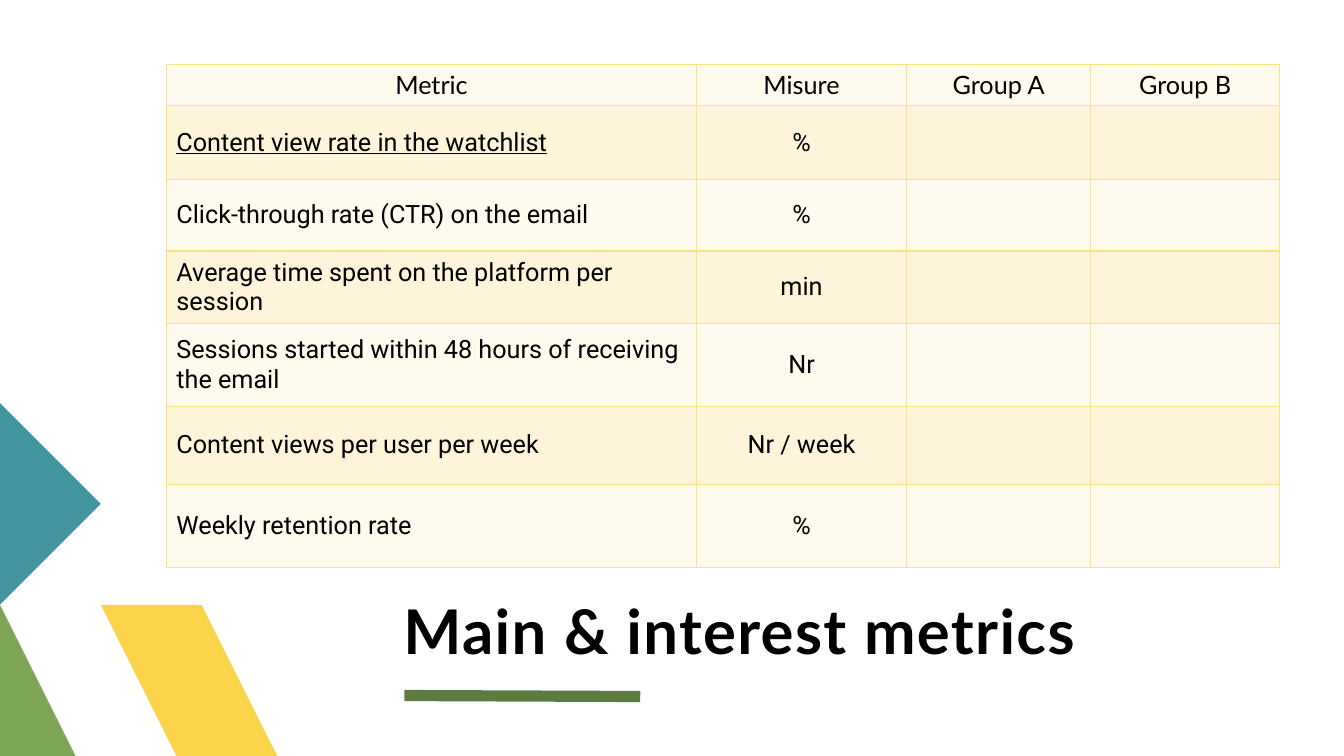
"""Build the slide of main and interest metrics."""
from pptx import Presentation
from pptx.dml.color import RGBColor
from pptx.enum import shapes, text
from pptx.oxml import parse_xml
from pptx.oxml.ns import nsdecls, qn
from pptx.util import Inches, Pt

BLACK = RGBColor(0x00, 0x00, 0x00)
YELLOW = RGBColor(0xF9, 0xD4, 0x48)
GREEN = RGBColor(0x7C, 0xA6, 0x55)
TEAL = RGBColor(0x44, 0x95, 0xA2)
DARK_GREEN = RGBColor(0x5D, 0x7D, 0x40)
CREAM = RGBColor(0xFE, 0xFA, 0xED)
SAND = RGBColor(0xFD, 0xF4, 0xD9)
BORDER = RGBColor(0xFB, 0xE2, 0x84)

ORNAMENTS = [
    (YELLOW, [(3.24, 7.5), (2.15, 7.5), (1.06, 6.41), (1.61, 5.87)]),
    (GREEN, [(1.06, 7.5), (0, 7.5), (0, 6.44)]),
    (TEAL, [(0, 4.27), (1.06, 5.33), (0, 6.39)]),
]
COLUMN_WIDTHS = [5.26, 2.08, 1.83, 1.87]
ROW_HEIGHTS = [0.41, 0.73, 0.71, 0.72, 0.82, 0.78, 0.82]
ROWS = [
    ("Metric", "Misure", "Group A", "Group B"),
    ("Content view rate in the watchlist", "%", "", ""),
    ("Click-through rate (CTR) on the email", "%", "", ""),
    ("Average time spent on the platform per session", "min", "", ""),
    ("Sessions started within 48 hours of receiving the email", "Nr", "", ""),
    ("Content views per user per week", "Nr / week", "", ""),
    ("Weekly retention rate", "%", "", ""),
]


def set_font(p, name, size, bold=False):
    """Format a whole paragraph in black."""
    p.font.name = name
    p.font.size = Pt(size)
    p.font.bold = bold
    p.font.color.rgb = BLACK


def add_polygon(s, color, points):
    """Draw a closed, filled outline from points in inches."""
    builder = s.shapes.build_freeform(*points[0], scale=Inches(1))
    builder.add_line_segments(points[1:], close=True)
    sp = builder.convert_to_shape()
    sp.shadow.inherit = False
    sp.fill.solid()
    sp.fill.fore_color.rgb = color
    sp.line.fill.background()


def add_rule(s, x1, y1, x2, y2):
    """Draw the thick line under the title."""
    line = s.shapes.add_connector(
        shapes.MSO_CONNECTOR.STRAIGHT,
        Inches(x1), Inches(y1), Inches(x2), Inches(y2))
    line.line.color.rgb = DARK_GREEN
    line.line.width = Pt(8)
    line._element.spPr.append(parse_xml(f"<a:effectLst {nsdecls('a')}/>"))


def set_title(s, words):
    """Place and format the title placeholder."""
    title = s.shapes.title
    title.left, title.top = Inches(4), Inches(5.1)
    title.width, title.height = Inches(8.68), Inches(1.51)
    tf = title.text_frame
    tf.margin_left = tf.margin_top = tf.margin_right = tf.margin_bottom = 0
    tf.vertical_anchor = text.MSO_ANCHOR.BOTTOM
    tf.auto_size = text.MSO_AUTO_SIZE.NONE
    tf.word_wrap = True
    p = tf.paragraphs[0]
    r = p.add_run()
    r.text = words
    r._r.get_or_add_rPr().set("spc", "100")
    p.alignment = text.PP_ALIGN.LEFT
    p.line_spacing = 0.8
    set_font(p, "Lato", 44, bold=True)


def set_borders(cell):
    """Give a cell thin lines on all four sides."""
    tcPr = cell._tc.get_or_add_tcPr()
    for i, side in enumerate(("lnL", "lnR", "lnT", "lnB")):
        tcPr.insert(i, parse_xml(
            f'<a:{side} {nsdecls("a")} w="{Pt(1)}"><a:solidFill>'
            f'<a:srgbClr val="{BORDER}"/></a:solidFill></a:{side}>'))


def format_cell(cell, words, row, column):
    """Fill in one cell of the metrics table."""
    cell.fill.solid()
    cell.fill.fore_color.rgb = SAND if row % 2 else CREAM
    set_borders(cell)
    cell.vertical_anchor = text.MSO_ANCHOR.MIDDLE
    cell.text = words
    p = cell.text_frame.paragraphs[0]
    centred = row == 0 or column > 0
    p.alignment = text.PP_ALIGN.CENTER if centred else text.PP_ALIGN.LEFT
    set_font(p, "Roboto" if row else "Lato", 18)
    if (row, column) == (1, 0):
        p.font.underline = True


def add_metrics_table(s):
    """Add the table of metrics by group."""
    table = s.shapes.add_table(
        len(ROWS), len(COLUMN_WIDTHS), Inches(1.65), Inches(0.64),
        Inches(sum(COLUMN_WIDTHS)), Inches(sum(ROW_HEIGHTS))).table
    for column, width in zip(table.columns, COLUMN_WIDTHS):
        column.width = Inches(width)
    for row, height in zip(table.rows, ROW_HEIGHTS):
        row.height = Inches(height)
    for i, row in enumerate(ROWS):
        for j, words in enumerate(row):
            format_cell(table.cell(i, j), words, i, j)


def main():
    """Build and save the slide."""
    prs = Presentation()
    prs.slide_width, prs.slide_height = Inches(13.33), Inches(7.5)
    s = prs.slides.add_slide(prs.slide_layouts[5])
    for color, points in ORNAMENTS:
        add_polygon(s, color, points)
    add_rule(s, 4.01, 6.9, 6.35, 6.91)
    set_title(s, "Main & interest metrics")
    add_metrics_table(s)
    prs.save("out.pptx")


if __name__ == "__main__":
    main()
